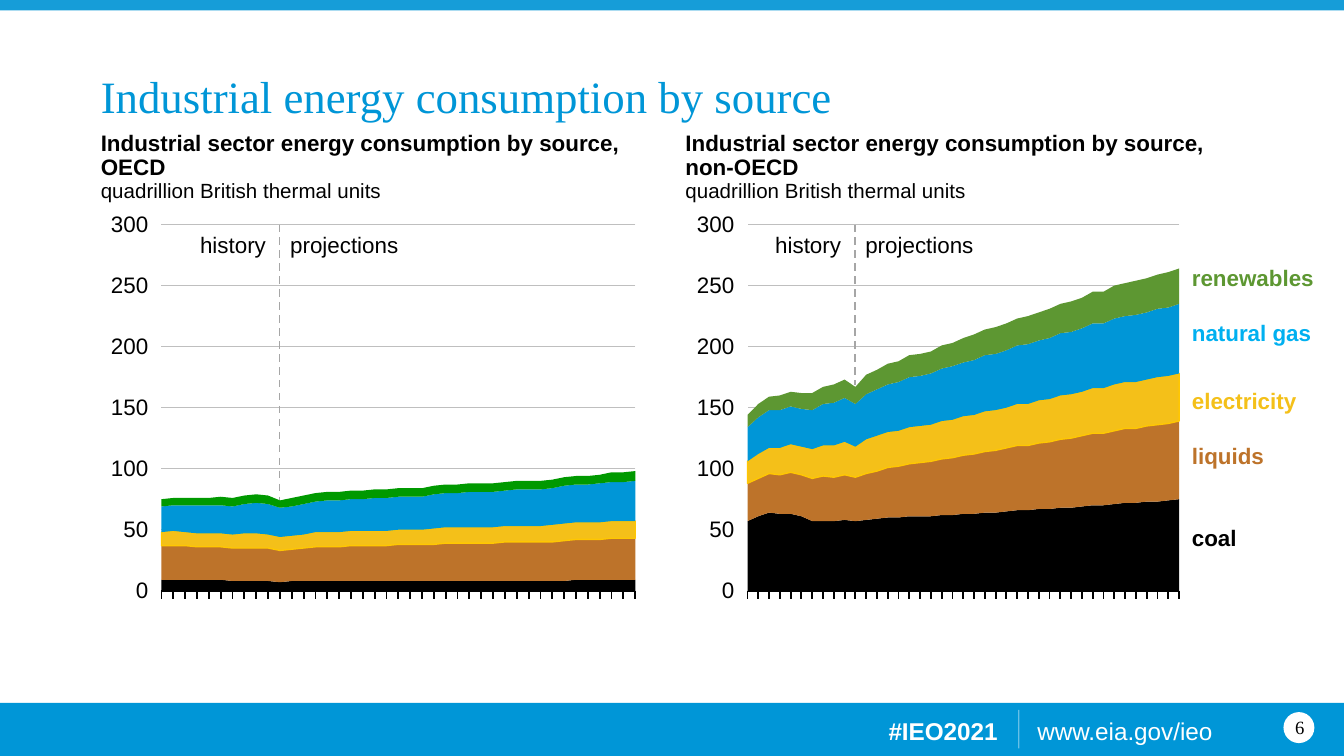
from lxml import etree
from pptx import Presentation
from pptx.chart.data import CategoryChartData
from pptx.dml.color import RGBColor
from pptx.enum.chart import XL_CHART_TYPE, XL_TICK_LABEL_POSITION, XL_TICK_MARK
from pptx.enum.dml import MSO_LINE
from pptx.enum.shapes import MSO_CONNECTOR, MSO_SHAPE
from pptx.enum.text import MSO_ANCHOR, MSO_AUTO_SIZE, PP_ALIGN
from pptx.oxml import parse_xml
from pptx.oxml.ns import nsdecls, qn
from pptx.util import Inches, Pt

STACKED = XL_CHART_TYPE.AREA_STACKED
LOW, NO_LABELS = XL_TICK_LABEL_POSITION.LOW, XL_TICK_LABEL_POSITION.NONE
OUTSIDE, NO_TICK = XL_TICK_MARK.OUTSIDE, XL_TICK_MARK.NONE
DASH, STRAIGHT = MSO_LINE.DASH, MSO_CONNECTOR.STRAIGHT
RECTANGLE, OVAL = MSO_SHAPE.RECTANGLE, MSO_SHAPE.OVAL
TOP, MIDDLE, BOTTOM = MSO_ANCHOR.TOP, MSO_ANCHOR.MIDDLE, MSO_ANCHOR.BOTTOM
LEFT, CENTER, RIGHT = PP_ALIGN.LEFT, PP_ALIGN.CENTER, PP_ALIGN.RIGHT
FIXED = MSO_AUTO_SIZE.NONE

BLACK = RGBColor(0x00, 0x00, 0x00)
WHITE = RGBColor(0xFF, 0xFF, 0xFF)
BLUE = RGBColor(0x00, 0x96, 0xD7)
TOP_BLUE = RGBColor(0x16, 0x9D, 0xD8)
LABEL_BLUE = RGBColor(0x00, 0xB0, 0xF0)
BROWN = RGBColor(0xBD, 0x73, 0x2A)
YELLOW = RGBColor(0xF4, 0xC0, 0x19)
EDGE_YELLOW = RGBColor(0xFF, 0xC7, 0x02)
GREEN = RGBColor(0x5D, 0x97, 0x32)
DARK_GREEN = RGBColor(0x00, 0x99, 0x00)
AXIS_GRAY = RGBColor(0xA6, 0xA6, 0xA6)
GRID_GRAY = RGBColor(0xBF, 0xBF, 0xBF)
SANS, SERIF = "Arial", "Times New Roman"

deck = Presentation()
deck.slide_width, deck.slide_height = Inches(10), Inches(5.625)
page = deck.slides.add_slide(deck.slide_layouts[4])
title, left_heading, left_content, right_heading, right_content = page.placeholders
for content in (left_content, right_content):
    content.element.getparent().remove(content.element)


def percent(left, top, width, height):
    across, down = deck.slide_width / 100, deck.slide_height / 100
    return int(left * across), int(top * down), int(width * across), int(height * down)


def style(para, size, color, bold=False, face=SANS, align=LEFT):
    para.alignment = align
    for span in para.runs:
        span.font.size, span.font.name = Pt(size), face
        span.font.bold, span.font.color.rgb = bold, color


for kind, place, color in (
    (RECTANGLE, (0, 93, 100, 7), BLUE),
    (RECTANGLE, (0, 0, 100, 1.4), TOP_BLUE),
    (OVAL, (95.5, 94.2, 2.3, 4.1), WHITE),
):
    shape = page.shapes.add_shape(kind, *percent(*place))
    shape.shadow.inherit = False
    shape.fill.solid()
    shape.fill.fore_color.rgb = color
    shape.line.fill.background()

YEARS = [str(year) for year in range(2010, 2051)]
OECD = (
    [9, 9, 9, 9, 9, 9, 8, 8, 8, 8, 7] + [8] * 24 + [9] * 6,
    [28, 28, 28, 27, 27, 27, 27, 27, 27, 27, 26, 26, 27, 28, 28, 28, 29, 29, 29, 29, 30,
     30, 30, 30, 31, 31, 31, 31, 31, 32, 32, 32, 32, 32, 33, 33, 33, 33, 34, 34, 34],
    [11, 12, 11, 11, 11, 11, 11, 12, 12] + [11] * 4 + [12] * 10 + [13] * 10 + [14] * 8,
    [21, 21, 22, 23, 23, 23, 23, 24, 25, 25, 24, 24, 25, 25, 26, 26, 26, 26, 27, 27, 27,
     27, 27, 28, 28, 28, 29, 29, 29, 29, 30, 30, 30, 30, 31, 31, 31, 32, 32, 32, 33],
    [6] * 5 + [7] * 5 + [6] + [7] * 27 + [8] * 3,
)
NON_OECD = (
    [57, 61, 64, 63, 63, 61, 57, 57, 57, 58, 57, 58, 59, 60, 60, 61, 61, 61, 62, 62, 63,
     63, 64, 64, 65, 66, 66, 67, 67, 68, 68, 69, 70, 70, 71, 72, 72, 73, 73, 74, 75],
    [31, 31, 32, 32, 34, 34, 35, 37, 36, 37, 36, 38, 39, 41, 42, 43, 44, 45, 46, 47, 48,
     49, 50, 51, 52, 53, 53, 54, 55, 56, 57, 58, 59, 59, 60, 61, 61, 62, 63, 63, 64],
    [18, 20, 21, 22, 23, 23, 24, 25, 26, 27, 25, 28, 29, 29, 29, 30, 30, 30, 31, 31, 32,
     32, 33, 33, 33, 34, 34, 35, 35, 36, 36, 36, 37, 37, 38, 38, 38, 38, 39, 39, 39],
    [28, 30, 31, 31, 31, 31, 32, 34, 35, 36, 35, 37, 38, 39, 40, 41, 41, 42, 43, 44, 44,
     45, 46, 46, 47, 48, 49, 49, 50, 51, 51, 52, 53, 53, 54, 54, 55, 55, 56, 56, 57],
    [10, 11, 11, 12, 12, 13, 14, 14, 15, 15, 14, 16, 16, 17, 17, 18, 18, 18, 19, 19, 20,
     21, 21, 22, 22, 22, 23, 23, 24, 24, 25, 25, 26, 26, 27, 27, 28, 28, 28, 29, 29],
)

for left, width, plot_width, sources, renewables in (
    (7.5, 43, 0.82, OECD, DARK_GREEN),
    (51, 44, 0.73, NON_OECD, GREEN),
):
    data = CategoryChartData(number_format="0")
    data.categories = YEARS
    for number, values in enumerate(sources, 1):
        data.add_series(f"Series {number}", values)
    chart = page.shapes.add_chart(STACKED, *percent(left, 25.07, width, 60.27), data).chart
    chart.has_legend = chart.has_title = False
    chart.font.size, chart.font.name = Pt(9), SANS
    chart.font.color.rgb = BLACK
    chart.plots[0].vary_by_categories = False
    for series, color in zip(chart.plots[0].series, (BLACK, BROWN, YELLOW, BLUE, renewables)):
        series.format.fill.solid()
        series.format.fill.fore_color.rgb = color
        if color == YELLOW:
            series.format.line.color.rgb = EDGE_YELLOW
            series.format.line.width = Pt(0.75)

    years, amounts = chart.category_axis, chart.value_axis
    years.tick_label_position, years.major_tick_mark = NO_LABELS, OUTSIDE
    years.has_major_gridlines = False
    years.format.line.color.rgb = BLACK
    years.format.line.width = Pt(1)
    amounts.minimum_scale, amounts.maximum_scale, amounts.major_unit = 0, 300, 50
    amounts.tick_label_position, amounts.major_tick_mark = LOW, NO_TICK
    amounts.tick_labels.font.size = Pt(12)
    amounts.tick_labels.number_format = "0"
    amounts.tick_labels.number_format_is_linked = False
    amounts.format.line.fill.background()
    amounts.major_gridlines.format.line.color.rgb = GRID_GRAY
    amounts.major_gridlines.format.line.width = Pt(0.75)

    plot_area = chart.element.chart.plotArea
    for layout in plot_area.findall(qn("c:layout")):
        plot_area.remove(layout)
    plot_area.insert(0, parse_xml(
        f'<c:layout {nsdecls("c")}><c:manualLayout><c:layoutTarget val="inner"/>'
        '<c:xMode val="edge"/><c:yMode val="edge"/><c:x val="0.105"/><c:y val="0.077"/>'
        f'<c:w val="{plot_width}"/><c:h val="0.804"/></c:manualLayout></c:layout>'))

for place, color, weight, dash, opacity in (
    ((75.8, 93.9, 0, 5.1), WHITE, 0.75, None, 40000),
    ((20.8, 29.7, 0, 36.5), AXIS_GRAY, 1, DASH, 100000),
    ((63.62, 29.7, 0, 21.2), AXIS_GRAY, 1, DASH, 100000),
):
    x, top, _, height = percent(*place)
    divider = page.shapes.add_connector(STRAIGHT, x, top, x, top + height)
    divider.line.color.rgb = color
    divider.line.width, divider.line.dash_style = Pt(weight), dash
    line_color = divider.element.spPr.find(".//" + qn("a:srgbClr"))
    etree.SubElement(line_color, qn("a:alpha"), val=str(opacity))
    etree.SubElement(divider.element.spPr, qn("a:effectLst"))

title.left, title.top, title.width, title.height = percent(7.5, 1.78, 87.5, 14.4)
title.text_frame.text = "Industrial energy consumption by source"
style(title.text_frame.paragraphs[0], 24, BLUE, face=SERIF)

HEADING = "Industrial sector energy consumption by source,"
UNIT = "quadrillion British thermal units"
for heading, left, lines in (
    (left_heading, 7.5, (f"{HEADING} OECD", UNIT)),
    (right_heading, 51, (HEADING, "non-OECD", UNIT)),
):
    heading.left, heading.top, heading.width, heading.height = percent(left, 17.42, 42, 9.42)
    heading.text_frame.text = "\n".join(lines)
    for para in heading.text_frame.paragraphs:
        para.line_spacing, para.space_before = 0.9, Pt(0)
        is_unit = para.text == UNIT
        style(para, 11 if is_unit else 12, BLACK, bold=not is_unit)

for box, right_inset in ((title, 0), (left_heading, 0.1), (right_heading, 0.1)):
    frame = box.text_frame
    frame.auto_size, frame.vertical_anchor, frame.word_wrap = FIXED, BOTTOM, True
    frame.margin_left = frame.margin_top = frame.margin_bottom = 0
    frame.margin_right = Inches(right_inset)

for text, place, size, color, bold, face, align, anchor in (
    ("#IEO2021", (61.8, 93.9, 13.4, 5.7), 13, WHITE, True, SANS, RIGHT, TOP),
    ("www.eia.gov/ieo", (76.2, 93.9, 16.2, 5.7), 13, WHITE, False, SANS, LEFT, TOP),
    ("6", (94.6, 93.5, 4.2, 5.33), 10, BLACK, False, SERIF, CENTER, MIDDLE),
    ("history\tprojections", (13.9, 29.69, 17.9, 5.33), 12, BLACK, False, SANS, LEFT, TOP),
    ("history\tprojections", (56.7, 29.69, 22.7, 5.33), 12, BLACK, False, SANS, LEFT, TOP),
):
    frame = page.shapes.add_textbox(*percent(*place)).text_frame
    frame.word_wrap, frame.vertical_anchor = True, anchor
    frame.text = text
    para = frame.paragraphs[0]
    if "\t" in text:
        tabs = etree.SubElement(para._p.get_or_add_pPr(), qn("a:tabLst"))
        etree.SubElement(tabs, qn("a:tab"), pos=str(Inches(0.67)), algn="l")
    style(para, size, color, bold, face, align)

SOURCE_LABELS = (
    ("renewables", GREEN, 0),
    ("natural gas", LABEL_BLUE, 15),
    ("electricity", YELLOW, 22),
    ("liquids", BROWN, 15),
    ("coal", BLACK, 29.5),
)
frame = page.shapes.add_textbox(*percent(87.7, 34.13, 12, 42.67)).text_frame
frame.word_wrap = True
frame.text = "\n".join(label for label, _, _ in SOURCE_LABELS)
for para, (_, color, gap) in zip(frame.paragraphs, SOURCE_LABELS):
    para.space_before = Pt(gap)
    style(para, 12, color, bold=True)

deck.save("out.pptx")
